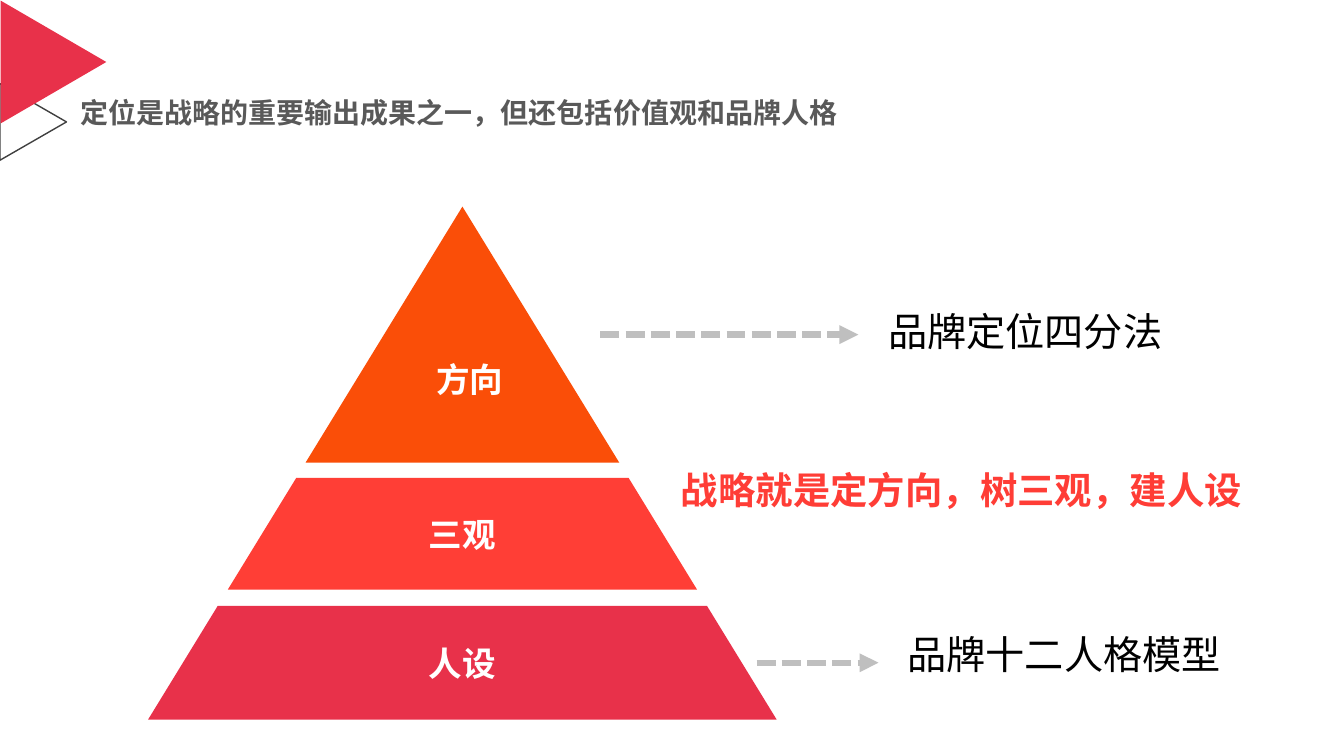
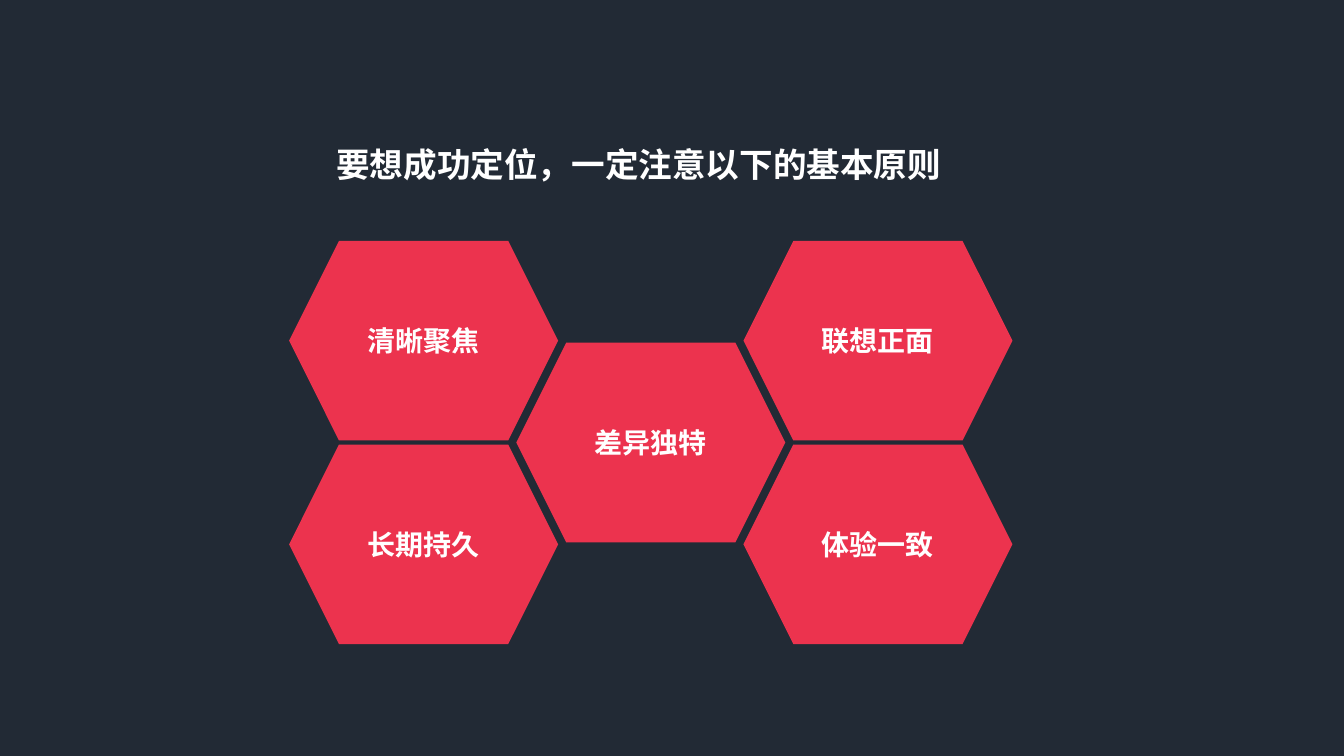
from dataclasses import dataclass

from lxml.etree import SubElement
from pptx import Presentation
from pptx.dml.color import RGBColor
from pptx.enum.dml import MSO_LINE
from pptx.enum.shapes import MSO_CONNECTOR, MSO_SHAPE
from pptx.enum.text import MSO_ANCHOR, PP_ALIGN
from pptx.oxml.ns import qn
from pptx.util import Inches, Pt

CELL = Inches(0.1)
COLS, ROWS = 133.4, 75
LATO, NOTO = "Lato", "Noto Sans CJK SC"
WHITE, BLACK, GREY, SLATE = "FFFFFF", "000000", "595959", "222A35"
EDGE, ARROW = "404040", "BFBFBF"
RED, CORAL, FLAME, ROSE = "E8314A", "FF3E36", "FA4E08", "EC334E"
PEAK_X, PEAK_Y, SLOPE = 45.9, 20.5, 0.613
HEX_X, HEX_Y, HEX_W, HEX_H = 28.7, 23.9, 26.7, 19.8
STEP_X, STEP_Y = 22.55, 10.1


@dataclass
class Tier:
    top: float
    base: float
    fill: str
    text: str = ""


@dataclass
class Note:
    col: float
    row: float
    wide: float
    high: float
    text: str
    size: float
    color: str
    face: str = NOTO
    bold: bool = True
    anchor: MSO_ANCHOR = MSO_ANCHOR.TOP


@dataclass
class Arrow:
    start: float
    end: float
    row: float


@dataclass
class Hex:
    col: int
    row: int
    text: str


TIERS = [
    Tier(47.4, 58.5, CORAL, "三观"),
    Tier(60.1, 71.4, RED, "人设"),
    Tier(PEAK_Y, 45.9, FLAME),
]
NOTES = [
    Note(7, 7.4, 92.5, 7.4, "定位是战略的重要输出成果之一，但还包括价值观和品牌人格",
         20, GREY, LATO, anchor=MSO_ANCHOR.MIDDLE),
    Note(66.6, 45.8, 65, 5.5, "战略就是定方向，树三观，建人设", 26.7, "FF3D36"),
    Note(42.3, 35.1, 21.4, 5, "方向", 24, WHITE),
    Note(87.2, 30, 40, 5.7, "品牌定位四分法", 28, BLACK, LATO, False),
    Note(89.1, 62, 40, 5.7, "品牌十二人格模型", 28, BLACK, LATO, False),
]
ARROWS = [Arrow(59.6, 85.2, 33.2), Arrow(75.1, 87.2, 65.75)]
HEXES = [
    Hex(2, 0, "联想正面"),
    Hex(1, 1, "差异独特"),
    Hex(0, 0, "清晰聚焦"),
    Hex(0, 2, "长期持久"),
    Hex(2, 2, "体验一致"),
]


def cells(*counts: float) -> list[int]:
    return [round(n * CELL) for n in counts]


def paint(target, color: str) -> None:
    target.solid()
    target.fore_color.rgb = RGBColor.from_string(color)


def write(frame, text: str, *, size: float, color: str, face: str = NOTO,
          bold: bool = True, align=PP_ALIGN.LEFT, anchor=MSO_ANCHOR.TOP,
          wrap: bool = True, lead: float | None = None) -> None:
    frame.word_wrap = wrap
    frame.vertical_anchor = anchor
    para = frame.paragraphs[0]
    para.alignment = align
    para.line_spacing = lead
    run = para.add_run()
    run.text = text
    font = run.font
    font.size, font.bold, font.name = Pt(size), bold, face
    paint(font.fill, color)
    SubElement(run._r.get_or_add_rPr(), qn("a:ea"), typeface=NOTO)


def style(shape, fill: str | None = None, line: str | None = None):
    shape.shadow.inherit = False
    if fill:
        paint(shape.fill, fill)
    else:
        shape.fill.background()
    if line:
        paint(shape.line.fill, line)
        shape.line.width = Pt(1)
    else:
        shape.line.fill.background()
    return shape


def wedge(slide, box: tuple[float, ...], fill: str | None = None,
          line: str | None = None) -> None:
    shape = slide.shapes.add_shape(MSO_SHAPE.ISOSCELES_TRIANGLE, *cells(*box))
    shape.rotation = 90
    style(shape, fill, line)


def corner(slide) -> None:
    wedge(slide, (-0.5, 8.8, 7.6, 6.6), line=EDGE)
    wedge(slide, (-0.8, 0.9, 12.2, 10.5), fill=RED)


def draw_tier(slide, tier: Tier) -> None:
    top, base = [(y - PEAK_Y) * SLOPE for y in (tier.top, tier.base)]
    points = [(PEAK_X - base, tier.base), (PEAK_X - top, tier.top),
              (PEAK_X + top, tier.top), (PEAK_X + base, tier.base)]
    first, *rest = dict.fromkeys(tuple(cells(*p)) for p in points)
    form = slide.shapes.build_freeform(*first)
    form.add_line_segments(rest, close=True)
    shape = style(form.convert_to_shape(), tier.fill)
    if tier.text:
        write(shape.text_frame, tier.text, size=24, color=WHITE, wrap=False,
              align=PP_ALIGN.CENTER, anchor=MSO_ANCHOR.MIDDLE)


def draw_note(slide, note: Note) -> None:
    box = slide.shapes.add_textbox(
        *cells(note.col, note.row, note.wide, note.high))
    write(box.text_frame, note.text, size=note.size, color=note.color,
          face=note.face, bold=note.bold, anchor=note.anchor)


def draw_arrow(slide, arrow: Arrow) -> None:
    link = slide.shapes.add_connector(
        MSO_CONNECTOR.STRAIGHT,
        *cells(arrow.start, arrow.row, arrow.end, arrow.row))
    paint(link.line.fill, ARROW)
    link.line.width = Pt(4.5)
    link.line.dash_style = MSO_LINE.SQUARE_DOT
    props = link.element.spPr
    SubElement(props.find(qn("a:ln")), qn("a:tailEnd"), type="triangle")
    SubElement(props, qn("a:effectLst"))


def draw_hex(slide, item: Hex) -> None:
    box = cells(HEX_X + item.col * STEP_X, HEX_Y + item.row * STEP_Y,
                HEX_W, HEX_H)
    shape = style(slide.shapes.add_shape(MSO_SHAPE.HEXAGON, *box), ROSE)
    write(shape.text_frame, item.text, size=20, color=WHITE,
          align=PP_ALIGN.CENTER, anchor=MSO_ANCHOR.MIDDLE)


def add_slide(deck, back: str):
    slide = deck.slides.add_slide(deck.slide_layouts[6])
    paint(slide.background.fill, back)
    return slide


def tower(deck) -> None:
    slide = add_slide(deck, WHITE)
    corner(slide)
    for tier in TIERS:
        draw_tier(slide, tier)
    for arrow in ARROWS:
        draw_arrow(slide, arrow)
    for note in NOTES:
        draw_note(slide, note)


def rules(deck) -> None:
    slide = add_slide(deck, SLATE)
    for item in HEXES:
        draw_hex(slide, item)
    box = slide.shapes.add_textbox(*cells(2.6, 14.2, 121.6, 4.5))
    write(box.text_frame, "要想成功定位，一定注意以下的基本原则", size=24,
          color=WHITE, align=PP_ALIGN.CENTER, lead=0.9)


def main() -> None:
    deck = Presentation()
    deck.slide_width, deck.slide_height = cells(COLS, ROWS)
    tower(deck)
    rules(deck)
    deck.save("out.pptx")


if __name__ == "__main__":
    main()
